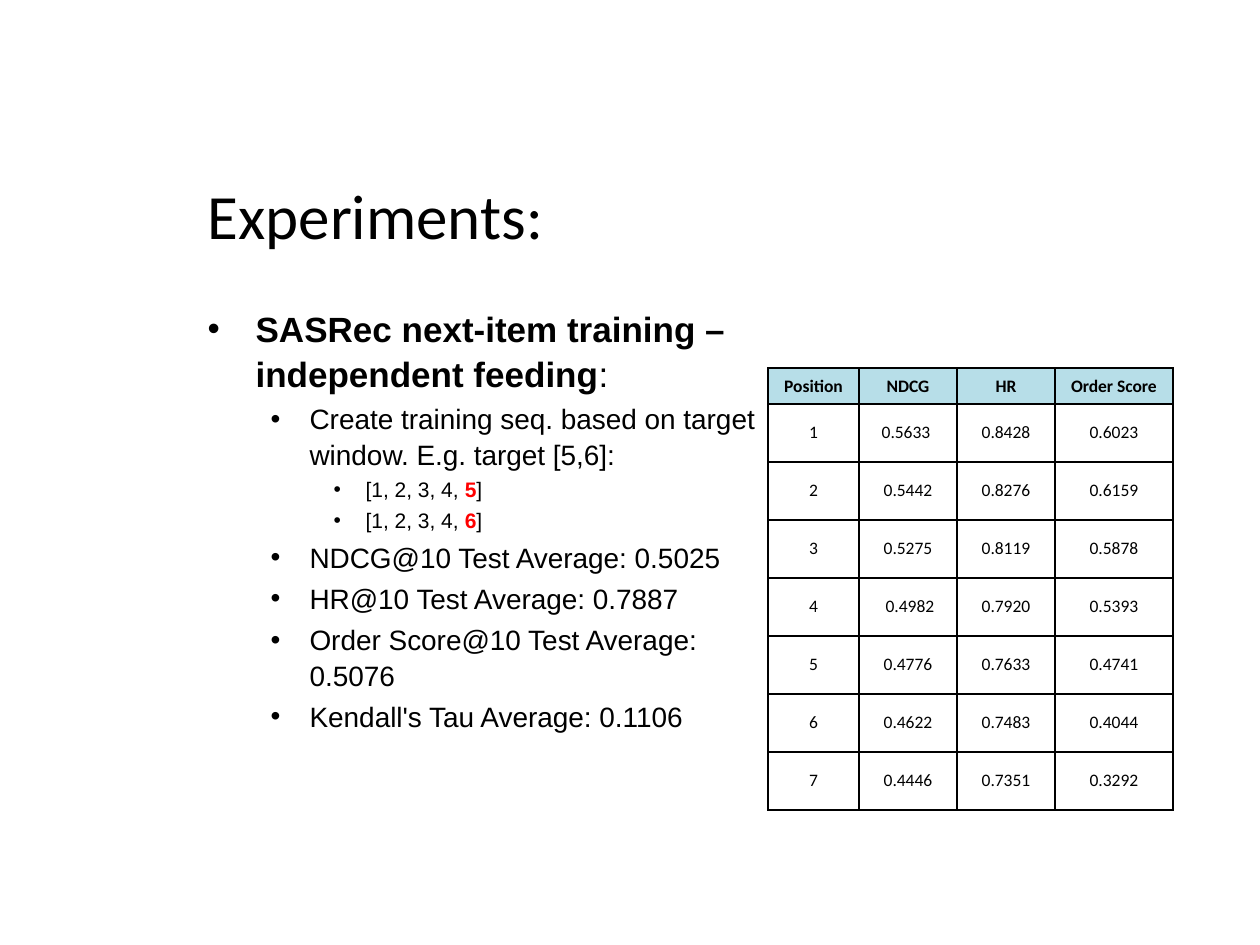
from pptx import Presentation
from pptx.dml.color import RGBColor as Rgb
from pptx.enum.text import MSO_ANCHOR as Anchor, MSO_AUTO_SIZE as Fit, PP_ALIGN as Align
from pptx.oxml.ns import qn
from pptx.util import Pt
from lxml.etree import SubElement as Sub

PX = 914400 // 126
BLACK, RED, WHITE, BLUE = "000000", "FF0000", "FFFFFF", "B7DEE8"

# Content: each point is (level, runs), each run (text, format)
HEAD = "Experiments:"
BOLD, HOT = {"bold": True}, {"bold": True, "color": RED}
POINTS = [
    (0, [("SASRec next-item training – independent feeding", BOLD), (":", {})]),
    (1, [("Create training seq. based on target window. E.g. target [5,6]:", {})]),
    (2, [("[1, 2, 3, 4, ", {}), ("5", HOT), ("]", {})]),
    (2, [("[1, 2, 3, 4, ", {}), ("6", HOT), ("] ", {})]),
    (1, [("NDCG@10 Test Average: 0.5025", {})]),
    (1, [("HR@10 Test Average: 0.7887", {})]),
    (1, [("Order Score@10 Test Average: 0.5076", {})]),
    (1, [("Kendall's Tau Average: 0.1106", {})]),
]
ROWS = [
    ("Position", "NDCG", "HR", "Order Score"),
    ("1", "0.5633 ", "0.8428", "0.6023"),
    ("2", "0.5442", "0.8276", "0.6159"),
    ("3", "0.5275", "0.8119", "0.5878"),
    ("4", " 0.4982", "0.7920", "0.5393"),
    ("5", "0.4776", "0.7633", "0.4741"),
    ("6", "0.4622", "0.7483", "0.4044"),
    ("7", "0.4446", "0.7351", "0.3292"),
]

# Layout in pixels; a level is (text size, left margin, hanging indent)
TITLE, BODY = (195, 135, 1002, 158), (195, 299, 606, 546)
LEVELS = [(20, 48, 48), (16, 102, 39), (12, 158, 32)]
GRID = (768, 368)
WIDTHS = [91, 98, 98, 118]
HEIGHTS = [36] + [58] * (len(ROWS) - 1)


def place(shape, box):
    for name, val in zip(("left", "top", "width", "height"), box):
        setattr(shape, name, val * PX)


def write(para, text, size, face, color=BLACK, bold=False):
    run = para.add_run()
    run.text = text
    for name, val in {"size": Pt(size), "name": face, "bold": bold}.items():
        setattr(run.font, name, val)
    run.font.color.rgb = Rgb.from_string(color)


def bullet(para, left, hang):
    props = para._p.get_or_add_pPr()
    props.set("marL", str(left * PX))
    props.set("indent", str(-hang * PX))
    Sub(props, qn("a:buFont"), typeface="Arial")
    Sub(props, qn("a:buChar"), char="•")


def border(cell):
    props = cell._tc.get_or_add_tcPr()
    for spot, side in enumerate(("a:lnL", "a:lnR", "a:lnT", "a:lnB")):
        line = props.makeelement(qn(side), {"w": str(Pt(1))})
        props.insert(spot, line)
        Sub(Sub(line, qn("a:solidFill")), qn("a:srgbClr"), val=BLACK)


deck = Presentation()
deck.slide_width, deck.slide_height = 1260 * PX, 945 * PX
slide = deck.slides.add_slide(deck.slide_layouts[1])

# Title
title, body = slide.placeholders
place(title, TITLE)
title.text_frame.auto_size = Fit.NONE
title.text_frame.vertical_anchor = Anchor.MIDDLE
para = title.text_frame.paragraphs[0]
para.alignment = Align.LEFT
write(para, HEAD, 36, "Calibri")

# Bullet list
place(body, BODY)
frame = body.text_frame
frame.auto_size = Fit.NONE
for num, (level, runs) in enumerate(POINTS):
    para = frame.add_paragraph() if num else frame.paragraphs[0]
    size, left, hang = LEVELS[level]
    para.level = level
    para.line_spacing = 1.06
    bullet(para, left, hang)
    for text, form in runs:
        write(para, text, size, "Arial", **form)

# Score table
table = slide.shapes.add_table(
    len(ROWS), len(WIDTHS), *(v * PX for v in (*GRID, sum(WIDTHS), sum(HEIGHTS)))
).table
for col, width in zip(table.columns, WIDTHS):
    col.width = width * PX
for num, (row, height) in enumerate(zip(table.rows, HEIGHTS)):
    row.height = height * PX
    top = num == 0
    for cell, text in zip(row.cells, ROWS[num]):
        cell.vertical_anchor = Anchor.BOTTOM if top else Anchor.MIDDLE
        cell.fill.solid()
        cell.fill.fore_color.rgb = Rgb.from_string(BLUE if top else WHITE)
        border(cell)
        para = cell.text_frame.paragraphs[0]
        para.alignment = Align.CENTER
        write(para, text, 10, "Calibri", bold=top)

deck.save("out.pptx")
